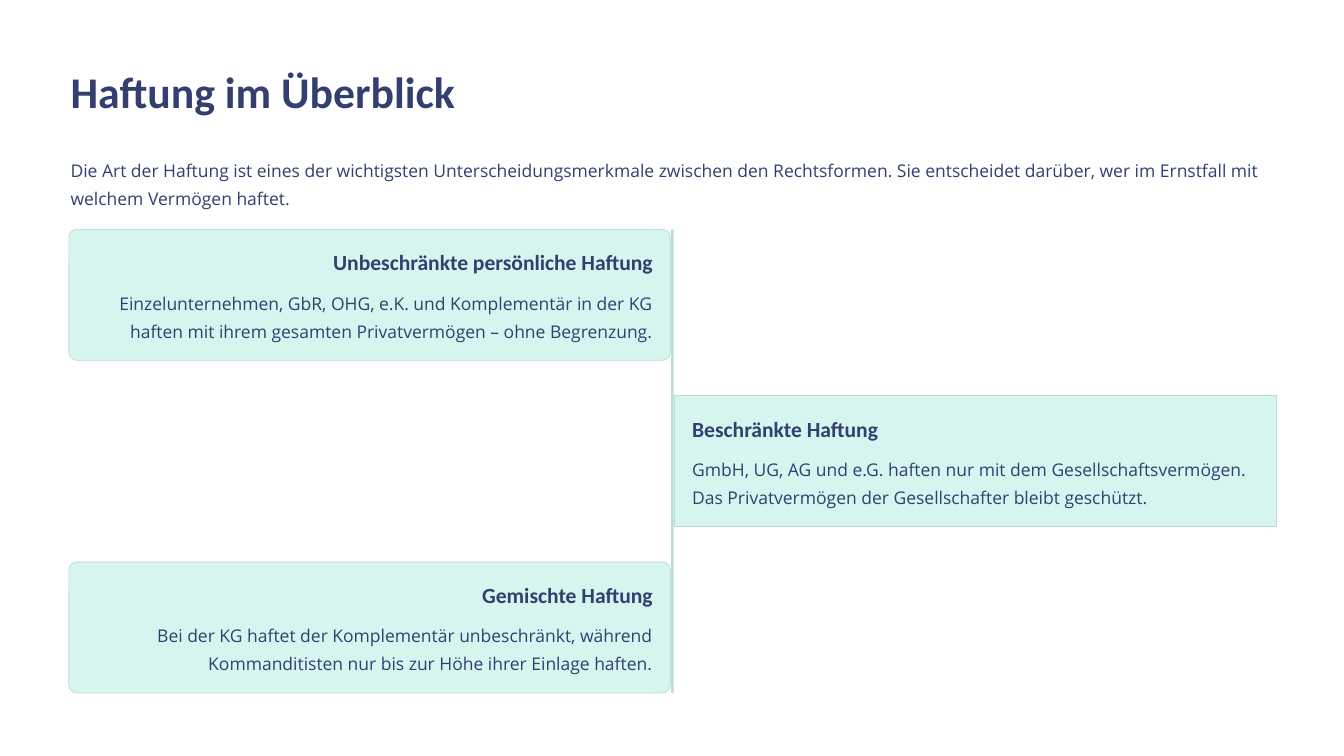
from pptx import Presentation
from pptx.dml.color import RGBColor
from pptx.enum.shapes import MSO_SHAPE
from pptx.enum.text import MSO_ANCHOR, MSO_AUTO_SIZE, PP_ALIGN
from pptx.util import Inches, Pt

RECT, ROUND = MSO_SHAPE.RECTANGLE, MSO_SHAPE.ROUNDED_RECTANGLE
LEFT, RIGHT = PP_ALIGN.LEFT, PP_ALIGN.RIGHT
TOP, FIXED = MSO_ANCHOR.TOP, MSO_AUTO_SIZE.NONE

COLORS = {"ink": "333F70", "mint": "D6F5EE", "edge": "BCDBD4"}

# font, size, bold, line spacing
STYLES = {
    "title": ("Calibri", 37.5, True, 47),
    "head": ("Calibri", 18.5, True, 23.5),
    "body": ("Open Sans", 15, False, 24),
}

INTRO = (
    "Die Art der Haftung ist eines der wichtigsten Unterscheidungsmerkmale "
    "zwischen den Rechtsformen. Sie entscheidet darüber, wer im Ernstfall "
    "mit welchem Vermögen haftet."
)
CARDS = [
    ("Unbeschränkte persönliche Haftung",
     "Einzelunternehmen, GbR, OHG, e.K. und Komplementär in der KG haften "
     "mit ihrem gesamten Privatvermögen – ohne Begrenzung."),
    ("Beschränkte Haftung",
     "GmbH, UG, AG und e.G. haften nur mit dem Gesellschaftsvermögen. "
     "Das Privatvermögen der Gesellschafter bleibt geschützt."),
    ("Gemischte Haftung",
     "Bei der KG haftet der Komplementär unbeschränkt, während "
     "Kommanditisten nur bis zur Höhe ihrer Einlage haften."),
]
CARD_W, CARD_H, PITCH = 7.16, 1.56, 1.98
BAR_W, PAD = 0.03, 0.21


def color(name):
    return RGBColor.from_string(COLORS[name])


def write(shape, text, style, align=LEFT):
    font, size, bold, line = STYLES[style]
    frame = shape.text_frame
    frame.auto_size = FIXED
    frame.word_wrap = True
    frame.vertical_anchor = TOP
    frame.margin_left = frame.margin_right = 0
    frame.margin_top = frame.margin_bottom = 0
    para = frame.paragraphs[0]
    para.alignment = align
    para.line_spacing = Pt(line)
    run = para.add_run()
    run.text = text
    run.font.name = font
    run.font.size = Pt(size)
    run.font.bold = bold
    run.font.color.rgb = color("ink")


def add_text(slide, box, text, style, align=LEFT):
    shape = slide.shapes.add_textbox(*map(Inches, box))
    write(shape, text, style, align)


def add_panel(slide, kind, box, fill, edge=None):
    shape = slide.shapes.add_shape(kind, *map(Inches, box))
    shape.shadow.inherit = False
    shape.fill.solid()
    shape.fill.fore_color.rgb = color(fill)
    if edge:
        shape.line.color.rgb = color(edge)
        shape.line.width = Pt(0.6)
    else:
        shape.line.fill.background()
    return shape


def add_header(slide, x, y, width):
    title = slide.shapes.title
    title.left, title.top = Inches(x), Inches(y)
    title.width, title.height = Inches(width), Inches(0.66)
    write(title, "Haftung im Überblick", "title")
    add_text(slide, (x, y + 1.08, width, 0.67), INTRO, "body")


def add_card(slide, x, y, card, is_left):
    kind, align = (ROUND, RIGHT) if is_left else (RECT, LEFT)
    panel = add_panel(slide, kind, (x, y, CARD_W, CARD_H), "mint", "edge")
    if is_left:
        panel.adjustments[0] = 0.06
    head, body = card
    inner = CARD_W - 2 * PAD
    add_text(slide, (x + PAD, y + 0.22, inner, 0.33), head, "head", align)
    add_text(slide, (x + PAD, y + 0.67, inner, 0.67), body, "body", align)


def add_timeline(slide, x, y):
    """Place the cards alternately left and right of a central bar."""
    bar_x = x + CARD_W + 0.01
    height = PITCH * (len(CARDS) - 1) + CARD_H
    bar = add_panel(slide, ROUND, (bar_x, y, BAR_W, height), "edge")
    bar.adjustments[0] = 0.5
    for i, card in enumerate(CARDS):
        is_left = i % 2 == 0
        card_x = x if is_left else bar_x + BAR_W + 0.01
        add_card(slide, card_x, y + i * PITCH, card, is_left)


def main():
    deck = Presentation()
    deck.slide_width, deck.slide_height = Inches(16), Inches(9)
    slide = deck.slides.add_slide(deck.slide_layouts[5])
    add_header(slide, 0.84, 0.74, 14.32)
    add_timeline(slide, 0.82, 2.73)
    deck.save("out.pptx")


if __name__ == "__main__":
    main()
